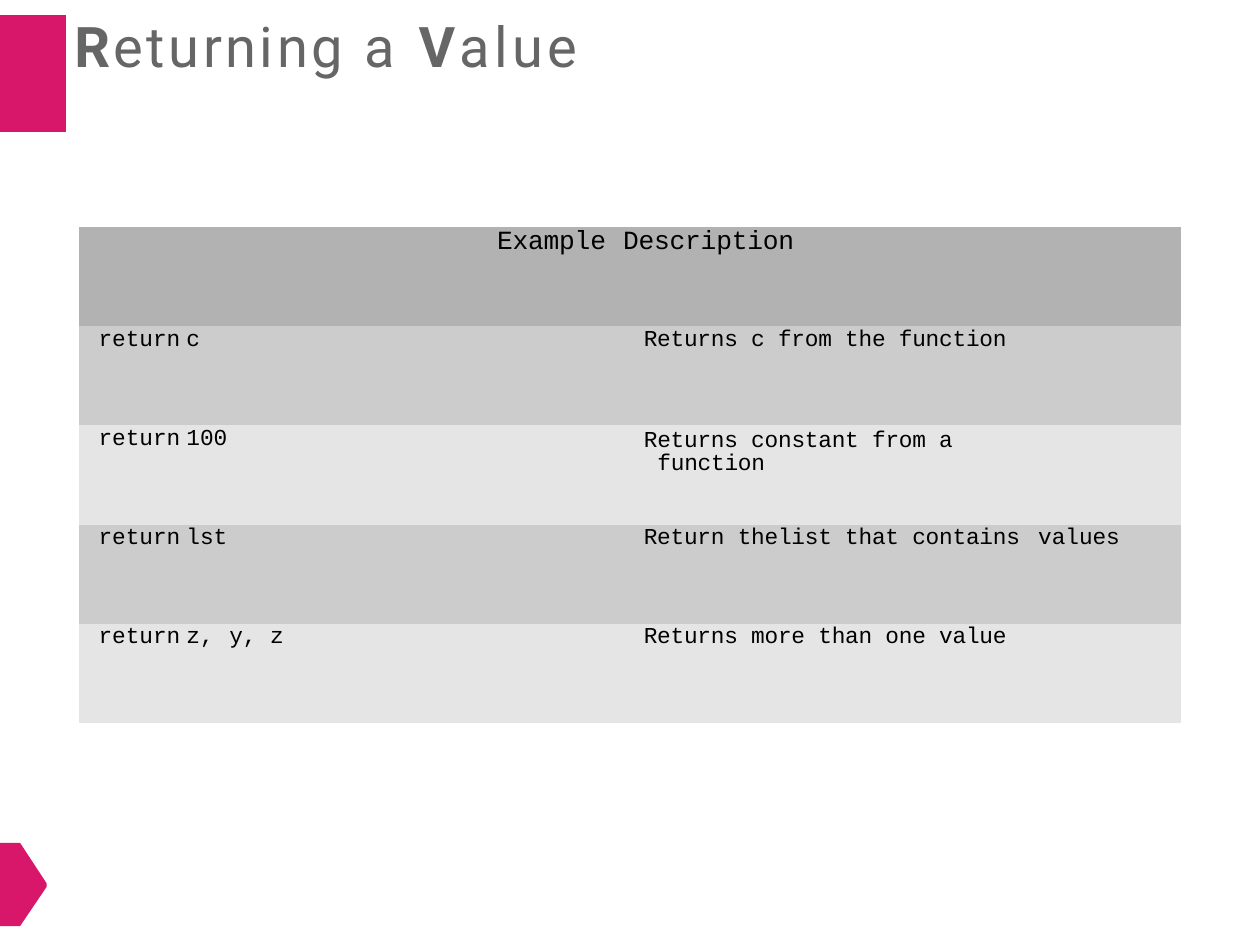
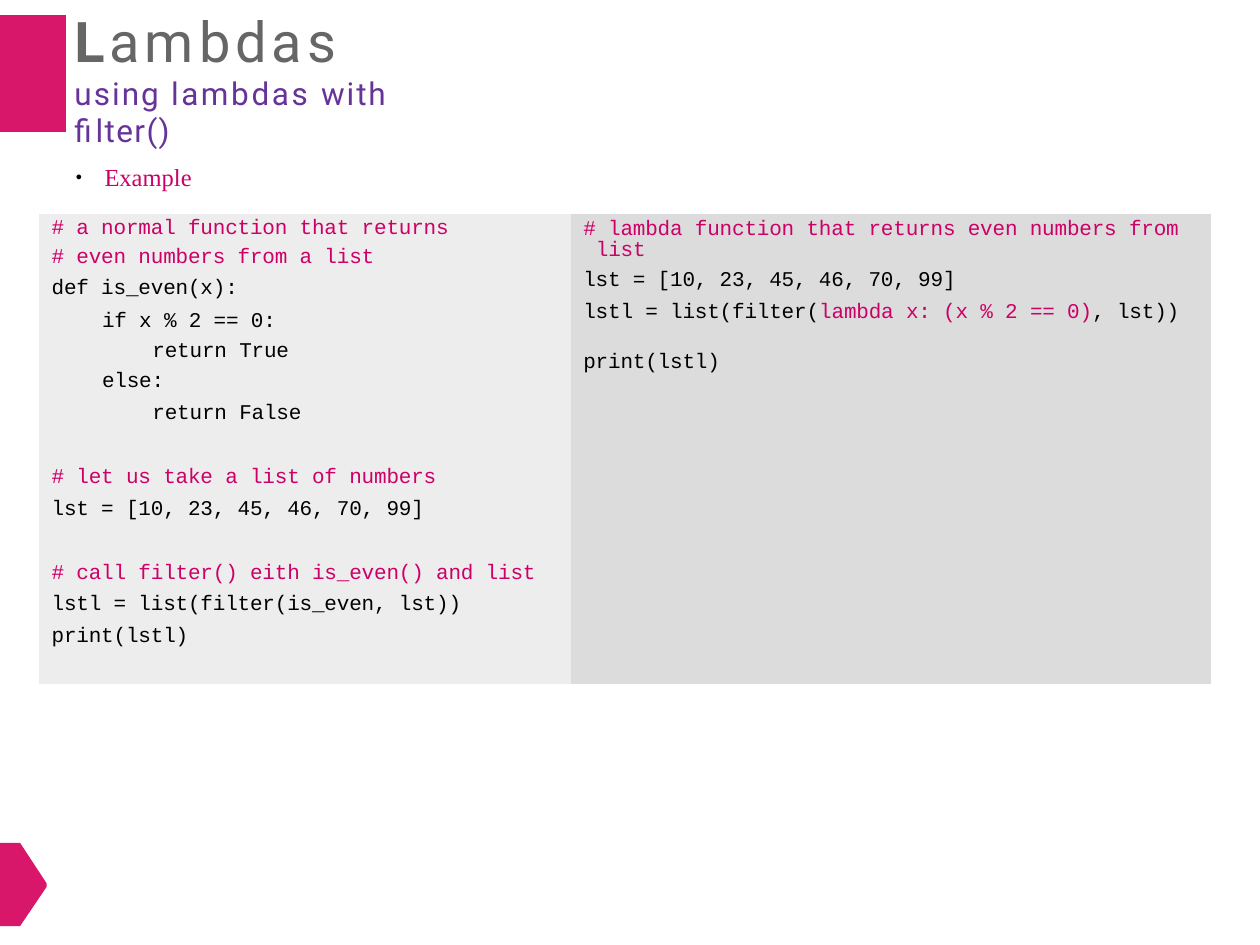
from dataclasses import dataclass

from lxml import etree
from pptx import Presentation
from pptx.dml.color import RGBColor
from pptx.enum.text import MSO_ANCHOR, MSO_AUTO_SIZE, PP_ALIGN
from pptx.oxml.ns import qn
from pptx.util import Inches, Pt

LEFT, CENTER, RIGHT = PP_ALIGN.LEFT, PP_ALIGN.CENTER, PP_ALIGN.RIGHT
TOP = MSO_ANCHOR.TOP
GROW = MSO_AUTO_SIZE.SHAPE_TO_FIT_TEXT

COLORS = {
    "accent": "D8166A", "title": "666666", "subtitle": "663399",
    "code": "000000", "highlight": "CC0066",
    "header": "B2B2B2", "odd row": "CCCCCC", "even row": "E5E5E5",
    "left code": "EDEDED", "right code": "DCDCDC",
}
TITLE_FONT, CODE_FONT, BODY_FONT = "Roboto", "Courier New", "Times New Roman"
TITLE_SIZE, SUBTITLE_SIZE, CODE_SIZE = 32, 18, 12
PLAIN_TABLE_STYLE = "{2D5ABB26-0587-4C30-8999-92F81FD0307C}"
COLUMNS, ROWS = 100, 75  # grid of 0.1 inch squares

RETURN_COLUMNS = [8, 3.9, 18.6, 45.1, 11.8]
RETURN_ROW_HEIGHT = 7.88
RETURN_ROWS = [
    ["return", "c", "", "Returns c from the function", ""],
    ["return", "100", "", "Returns constant from a function", ""],
    ["return", "lst", "", "Return thelist that contains", "values"],
    ["return", "z,", "y, z", "Returns more than one value", ""],
]
RETURN_INDENTS = [0, 0.5, 0, 14.3, 0.5]


@dataclass
class CodeLine:
    text: str
    color: str = "code"
    level: int = 0
    exact: float = 0
    before: float = 0
    highlight: str = ""
    hanging: float = 0


def comment(text, **options):
    return CodeLine(text, "highlight", **options)


CODE_COLUMNS = [42.2, 50.8]
NUMBERS = "lst = [10, 23, 45, 46, 70, 99]"
# Row height, then top inset and lines for the left and right cell
CODE_ROWS = [
    (4.6, (0.2, [comment("# a normal function that returns"),
                 comment("# even numbers from a list", exact=13.4, before=3.3)]),
     (0.5, [comment("# lambda function that returns even numbers from list",
                    exact=12, hanging=1)])),
    (2.5, (0.4, [CodeLine("def is_even(x):", exact=13.4)]),
     (0, [CodeLine(NUMBERS, exact=12)])),
    (2.8, (0.5, [CodeLine("if x % 2 == 0:", level=1)]),
     (0, [CodeLine("lstl = list(filter(lambda x: (x % 2 == 0), lst))",
                   exact=12.1, highlight="lambda x: (x % 2 == 0)")])),
    (4.9, (0.1, [CodeLine("return True", level=2),
                 CodeLine("else:", level=1, before=3.3)]),
     (1, [CodeLine("print(lstl)")])),
    (3.8, (0.1, [CodeLine("return False", level=2)]), (0, [])),
    (3.8, (1.4, [comment("# let us take a list of numbers")]), (0, [])),
    (3.8, (0.1, [CodeLine(NUMBERS)]), (0, [])),
    (3.8, (1.4, [comment("# call filter() eith is_even() and list")]), (0, [])),
    (2.5, (0.1, [CodeLine("lstl = list(filter(is_even, lst))")]), (0, [])),
    (4.8, (0.1, [CodeLine("print(lstl)")]), (0, [])),
]


def grid(count):
    return Inches(count / 10)


def rgb(name):
    return RGBColor.from_string(COLORS[name])


def style_run(run, font, size, color, spacing=0, bold=False):
    run.font.name, run.font.size, run.font.bold = font, Pt(size), bold
    run.font.color.rgb = rgb(color)
    run._r.get_or_add_rPr().set("spc", str(round(spacing * 100)))


def indent(paragraph, first, hanging=0):
    """Start the first line at one place and the following lines further in."""
    properties = paragraph._p.get_or_add_pPr()
    properties.set("marL", str(grid(first + hanging)))
    properties.set("indent", str(-grid(hanging)))
    return properties


def clear_margins(frame, top=0.1):
    frame.margin_left = frame.margin_right = frame.margin_bottom = 0
    frame.margin_top = grid(top)


# Shared parts
def add_master_outline(presentation, slide, points):
    (start_x, start_y), *others = [(grid(x), grid(y)) for x, y in points]
    builder = slide.shapes.build_freeform(start_x, start_y)
    builder.add_line_segments(others, close=True)
    shape = builder.convert_to_shape()
    shape.shadow.inherit = False
    shape.fill.solid()
    shape.fill.fore_color.rgb = rgb("accent")
    shape.line.fill.background()
    presentation.slide_master.shapes._spTree.insert(2, shape._element)


def add_bands(presentation, slide):
    add_master_outline(presentation, slide,
                       [(5.2, 1.2), (0, 1.2), (0, 10.5), (5.2, 10.5)])
    add_master_outline(presentation, slide,
                       [(1.6, 66.9), (0, 66.9), (0, 73.5), (1.6, 73.5),
                        (3.7, 70.4), (3.7, 70.1)])


def set_title(slide, top, width, height, lines):
    """Each line is a size, a color and its (text, spacing, bold) pieces."""
    title = slide.shapes.title
    title.left, title.top = grid(5.9), grid(top)
    title.width, title.height = grid(width), grid(height)
    frame = title.text_frame
    clear_margins(frame)
    frame.word_wrap, frame.vertical_anchor, frame.auto_size = True, TOP, GROW
    for number, (size, color, pieces) in enumerate(lines):
        paragraph = frame.add_paragraph() if number else frame.paragraphs[0]
        paragraph.alignment = LEFT
        for text, spacing, bold in pieces:
            run = paragraph.add_run()
            run.text = text
            style_run(run, TITLE_FONT, size, color, spacing, bold)


def add_plain_table(slide, left, top, widths, heights):
    table = slide.shapes.add_table(
        len(heights), len(widths), grid(left), grid(top),
        grid(sum(widths)), grid(sum(heights))).table
    table.first_row = table.horz_banding = False
    table._tbl.tblPr.find(qn("a:tableStyleId")).text = PLAIN_TABLE_STYLE
    for column, width in zip(table.columns, widths):
        column.width = grid(width)
    for row, height in zip(table.rows, heights):
        row.height = grid(height)
    return table


def prepare_cell(cell, fill, top=0.1):
    clear_margins(cell, top)
    cell.fill.solid()
    cell.fill.fore_color.rgb = rgb(fill)
    ending = cell.text_frame.paragraphs[0]._p.get_or_add_endParaRPr()
    ending.set("sz", str(CODE_SIZE * 100))


# Table of return statements
def fill_return_header(table):
    for cell in table.rows[0].cells:
        prepare_cell(cell, "header")
    header = table.cell(0, 0)
    header.merge(table.cell(0, len(RETURN_COLUMNS) - 1))
    paragraph = header.text_frame.paragraphs[0]
    paragraph.text = "Example\tDescription"
    paragraph.alignment = CENTER
    tabs = etree.SubElement(indent(paragraph, 2.5), qn("a:tabLst"))
    etree.SubElement(tabs, qn("a:tab"), pos=str(grid(43.7)), algn="l")
    style_run(paragraph.runs[0], CODE_FONT, 15, "code", -0.1)


def add_return_table(slide):
    heights = [RETURN_ROW_HEIGHT] * (len(RETURN_ROWS) + 1)
    table = add_plain_table(slide, 6.3, 18, RETURN_COLUMNS, heights)
    fill_return_header(table)
    for row, texts in enumerate(RETURN_ROWS, start=1):
        fill = "odd row" if row % 2 else "even row"
        for column, text in enumerate(texts):
            cell = table.cell(row, column)
            wraps = text.startswith("Returns constant")
            prepare_cell(cell, fill, 0.5 if wraps else 0.1)
            if not text:
                continue
            paragraph = cell.text_frame.paragraphs[0]
            paragraph.text = text
            paragraph.alignment = LEFT if column else RIGHT
            indent(paragraph, RETURN_INDENTS[column], 1.08 if wraps else 0)
            if wraps:
                paragraph.line_spacing = Pt(13)
            style_run(paragraph.runs[0], CODE_FONT, 13, "code",
                      -0.1 if column == 3 else 0)


# Side-by-side code
def write_code_line(paragraph, line):
    indent(paragraph, 1 + 4 * line.level, line.hanging)
    if line.exact:
        paragraph.line_spacing = Pt(line.exact)
    if line.before:
        paragraph.space_before = Pt(line.before)
    pieces = [(line.text, line.color)]
    if line.highlight:
        start, _, end = line.text.partition(line.highlight)
        pieces = [(start, line.color), (line.highlight, "highlight"),
                  (end, line.color)]
    for text, color in pieces:
        run = paragraph.add_run()
        run.text = text
        style_run(run, CODE_FONT, CODE_SIZE, color, -0.1)


def add_code_table(slide):
    heights = [row[0] for row in CODE_ROWS]
    table = add_plain_table(slide, 3.1, 17, CODE_COLUMNS, heights)
    for row, (_, *sides) in enumerate(CODE_ROWS):
        for column, (top, lines) in enumerate(sides):
            cell = table.cell(row, column)
            prepare_cell(cell, ("left code", "right code")[column], top)
            frame = cell.text_frame
            for number, line in enumerate(lines):
                paragraph = frame.add_paragraph() if number else frame.paragraphs[0]
                write_code_line(paragraph, line)


def add_bullet(slide, text):
    frame = slide.shapes.add_textbox(
        grid(6), grid(12.8), grid(9.6), grid(2.6)).text_frame
    clear_margins(frame)
    frame.word_wrap, frame.auto_size = True, GROW
    paragraph = frame.paragraphs[0]
    paragraph.text = text
    properties = indent(paragraph, 0, 2.3)
    color = etree.SubElement(properties, qn("a:buClr"))
    etree.SubElement(color, qn("a:srgbClr"), val=COLORS["code"])
    etree.SubElement(properties, qn("a:buSzPct"), val="45000")
    etree.SubElement(properties, qn("a:buFont"), typeface="Arial")
    etree.SubElement(properties, qn("a:buChar"), char="●")
    style_run(paragraph.runs[0], BODY_FONT, 14, "highlight")


def main():
    presentation = Presentation()
    presentation.slide_width, presentation.slide_height = grid(COLUMNS), grid(ROWS)
    title_only = presentation.slide_layouts[5]

    # Returning a value
    slide = presentation.slides.add_slide(title_only)
    add_bands(presentation, slide)
    set_title(slide, 0.8, 41, 5.6, [
        (TITLE_SIZE, "title", [("R", 2, True), ("eturning ", 2, False),
                               ("a ", 2.8, False), ("V", 2.5, True),
                               ("alue", 2.5, False)])])
    add_return_table(slide)

    # Lambdas with filter()
    slide = presentation.slides.add_slide(title_only)
    set_title(slide, 0.4, 33, 8.6, [
        (TITLE_SIZE, "title", [("L", 2.8, True), ("ambdas", 2.8, False)]),
        (SUBTITLE_SIZE, "subtitle", [("using ", 1.2, False), ("lambdas ", 1.5, False),
                                     ("with ", 1.1, False), ("filter()", 0.8, False)])])
    add_bullet(slide, "Example")
    add_code_table(slide)

    presentation.save("out.pptx")


if __name__ == "__main__":
    main()
